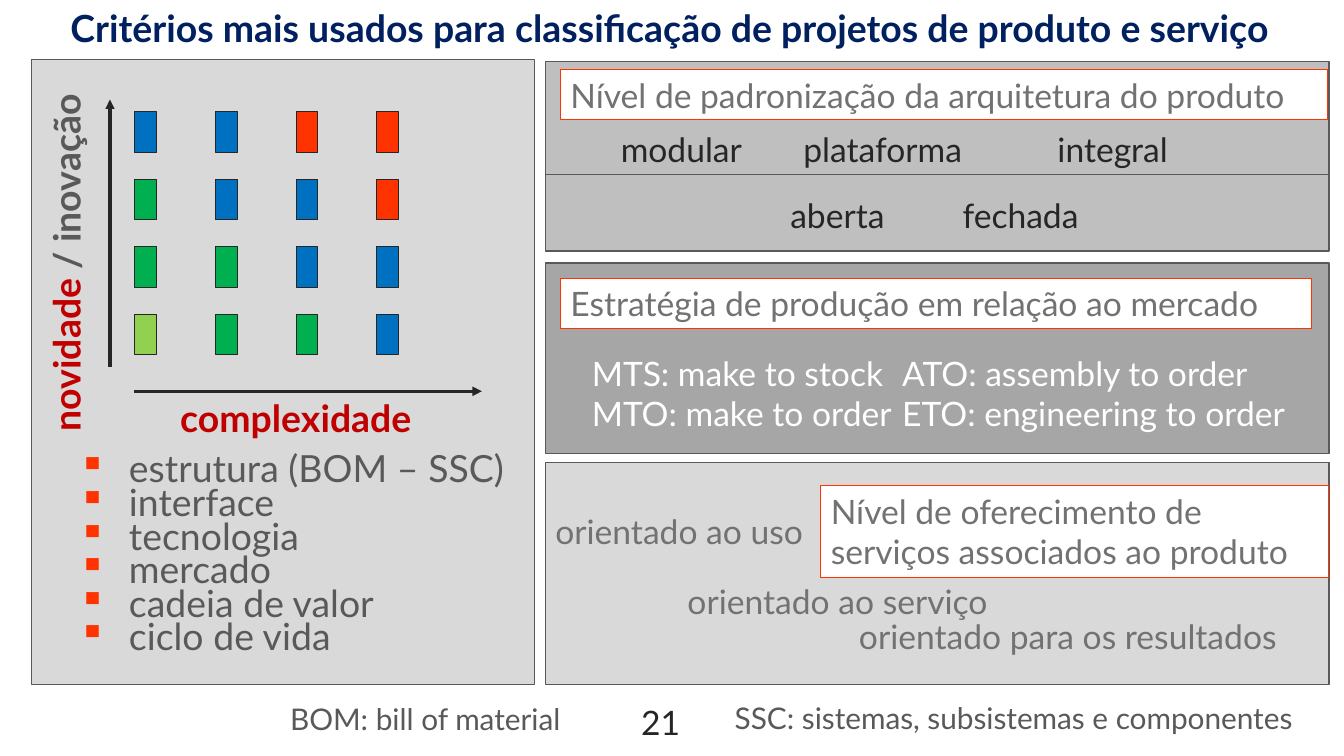
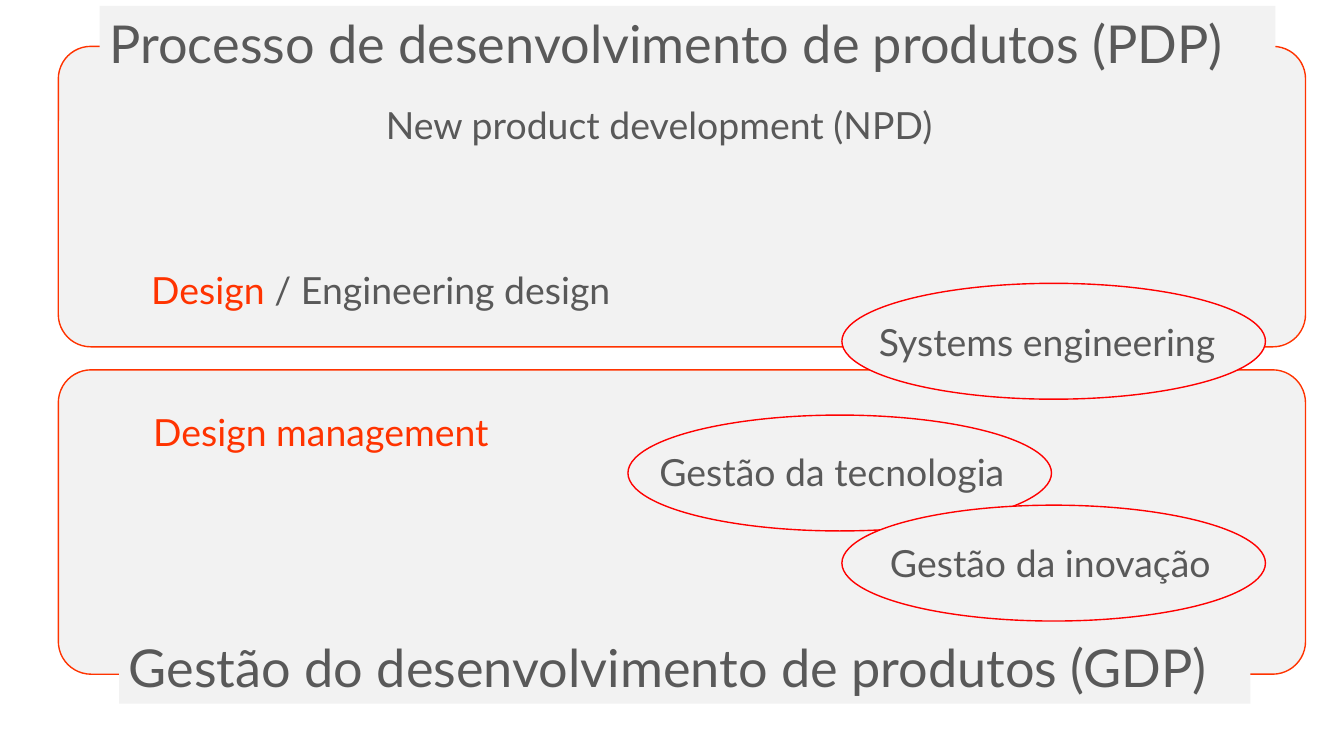
from pptx import Presentation
from pptx import util as u
from pptx.dml.color import RGBColor
from pptx.enum import shapes, text as t
from pptx.oxml import ns
from lxml import etree

COLORS = {
    "white": "FFFFFF", "navy": "002060", "ink": "262626", "text": "595959",
    "muted": "727272", "dark": "A6A6A6", "mid": "BFBFBF", "light": "D9D9D9",
    "pale": "F2F2F2", "orange": "FF3300", "red": "FF0000", "wine": "C00000",
    "blue": "0070C0", "green": "00B050", "lime": "92D050",
}
FONT = "Lato"
SMALL, BODY, LARGE, HEADING = 21.3, 24, 26.7, 37.3
RECT = shapes.MSO_SHAPE.RECTANGLE
ROUND = shapes.MSO_SHAPE.ROUNDED_RECTANGLE
OVAL = shapes.MSO_SHAPE.OVAL


def color(name):
    return RGBColor.from_string(COLORS[name])


def add_xml(parent, tag, **attributes):
    return etree.SubElement(parent, ns.qn(tag), attributes)


def fill_text(frame, paragraphs, size=BODY, ink="text", bold=False, align=t.PP_ALIGN.LEFT,
              spacing=None, bullet=None):
    for index, spans in enumerate(paragraphs):
        para = frame.paragraphs[0] if index == 0 else frame.add_paragraph()
        para.alignment = align
        if spacing:
            para.line_spacing = spacing
        if bullet:
            props = para._p.get_or_add_pPr()
            indent = u.Cm(1.27)
            props.set("marL", str(indent))
            props.set("indent", str(-indent))
            add_xml(add_xml(props, "a:buClr"), "a:srgbClr", val=COLORS["orange"])
            add_xml(props, "a:buChar", char=bullet)
        for words, span_ink in [(spans, ink)] if isinstance(spans, str) else spans:
            span = para.add_run()
            span.text = words
            span.font.name = FONT
            span.font.size = u.Pt(size)
            span.font.bold = bold
            span.font.color.rgb = color(span_ink)


class Painter:
    def __init__(self):
        self.deck = Presentation()
        self.deck.slide_width = u.Inches(13.33)
        self.deck.slide_height = u.Inches(7.5)
        self.page = None

    def new_page(self):
        self.page = self.deck.slides.add_slide(self.deck.slide_layouts[6])

    def box(self, place, fill, line=None, weight=1, kind=RECT, corner=None):
        box = self.page.shapes.add_shape(kind, *map(u.Cm, place))
        box.shadow.inherit = False
        box.fill.solid()
        box.fill.fore_color.rgb = color(fill)
        if line:
            box.line.color.rgb = color(line)
            box.line.width = u.Pt(weight)
        else:
            box.line.fill.background()
        if corner is not None:
            box.adjustments[0] = corner
        return box

    def label(self, place, *paragraphs, fill=None, line=None, anchor=t.MSO_ANCHOR.TOP,
              padding=0.13, rotation=0, **style):
        if fill:
            box = self.box(place, fill, line, 0.75)
        else:
            box = self.page.shapes.add_textbox(*map(u.Cm, place))
        box.rotation = rotation
        frame = box.text_frame
        frame.word_wrap = True
        frame.vertical_anchor = anchor
        frame.margin_top = frame.margin_bottom = u.Cm(padding)
        fill_text(frame, paragraphs, **style)

    def card_title(self, place, words):
        self.label(place, words, fill="white", line="orange", ink="muted")

    def heading(self, place, words):
        self.label(place, words, fill="pale", anchor=t.MSO_ANCHOR.MIDDLE, size=HEADING)

    def line(self, start, end, ink, weight, arrow=False):
        line = self.page.shapes.add_connector(
            shapes.MSO_CONNECTOR.STRAIGHT, *map(u.Cm, start + end))
        line.line.color.rgb = color(ink)
        line.line.width = u.Pt(weight)
        if arrow:
            add_xml(line.line._get_or_add_ln(), "a:tailEnd", type="triangle")
        add_xml(line._element.spPr, "a:effectLst")


def criteria_page(painter):
    painter.new_page()
    painter.label((0.15, -0.03, 33.48, 1.6),
                  "Critérios mais usados para classificação de projetos de produto e serviço",
                  fill="white", anchor=t.MSO_ANCHOR.MIDDLE, size=LARGE, ink="navy", bold=True,
                  align=t.PP_ALIGN.CENTER, spacing=0.9)
    for place, fill in [((13.74, 6.63, 19.74, 4.8), "dark"), ((13.74, 1.55, 19.74, 4.78), "mid"),
                        ((13.74, 11.66, 19.74, 5.59), "light"), ((0.79, 1.5, 12.67, 15.75), "light")]:
        painter.box(place, fill, "text")
    painter.label((15.9, 17.55, 1.65, 1.35), "21", ink="ink")

    levels = [
        ["blue", "blue", "orange", "orange"],
        ["green", "blue", "blue", "orange"],
        ["green", "green", "blue", "blue"],
        ["lime", "green", "green", "blue"],
    ]
    for row, fills in enumerate(levels):
        for column, fill in enumerate(fills):
            painter.box((3.4 + 2.03 * column, 2.82 + 1.7 * row, 0.55, 1.02), fill, "ink", 0.75)
    painter.line((2.77, 9.25), (2.77, 2.51), "ink", 2.25, arrow=True)
    painter.line((3.38, 9.86), (12.14, 9.86), "ink", 2.25, arrow=True)
    painter.label((-3.28, 5.61, 9.88, 1.14), [("novidade", "wine"), (" / inovação", "text")],
                  size=LARGE, bold=True, padding=0, rotation=270)
    painter.label((4.29, 9.96, 6.88, 1.14), "complexidade",
                  size=LARGE, ink="wine", bold=True, padding=0)
    painter.label((1.73, 11.38, 12.01, 5.38), "estrutura (BOM – SSC)", "interface", "tecnologia",
                  "mercado", "cadeia de valor", "ciclo de vida",
                  size=LARGE, spacing=u.Pt(24), bullet="▪")

    painter.card_title((14.12, 1.75, 19.33, 1.27), "Nível de padronização da arquitetura do produto")
    for left, top, width, words in [
        (15.39, 3.12, 3.61, "modular"), (19.99, 3.12, 4.55, "plataforma"),
        (26.39, 3.12, 3.33, "integral"), (19.66, 4.77, 2.95, "aberta"), (24, 4.77, 3.56, "fechada"),
    ]:
        painter.label((left, top, width, 1.27), words, ink="ink")
    painter.line((13.74, 4.39), (33.48, 4.39), "text", 0.5)

    painter.card_title((14.12, 7.01, 18.92, 1.27), "Estratégia de produção em relação ao mercado")
    painter.label((14.66, 8.76, 8.15, 2.31), "MTS: make to stock", "MTO: make to order", ink="white")
    painter.label((22.48, 8.76, 10.39, 2.31), "ATO: assembly to order", "ETO: engineering to order",
                  fill="dark", ink="white")

    painter.card_title((20.68, 12.24, 12.8, 2.31),
                       "Nível de oferecimento de serviços associados ao produto")
    for left, top, width, words in [
        (13.74, 12.75, 6.88, "orientado ao uso"), (17.07, 14.5, 8.23, "orientado ao serviço"),
        (21.39, 15.39, 11.35, "orientado para os resultados"),
    ]:
        painter.label((left, top, width, 1.27), words, ink="muted")

    painter.label((7.06, 17.53, 7.34, 1.17), "BOM: bill of material", size=SMALL)
    painter.label((18.26, 17.5, 15.52, 1.17), "SSC: sistemas, subsistemas e componentes", size=SMALL)


def process_page(painter):
    painter.new_page()
    for top, height in [(1.17, 7.57), (9.32, 7.67)]:
        painter.box((1.47, top, 31.42, height), "pale", "orange", kind=ROUND, corner=0.108)
    painter.heading((2.51, 0.15, 29.62, 1.85), "Processo de desenvolvimento de produtos (PDP)")
    painter.heading((3, 15.88, 28.5, 1.85), "Gestão do desenvolvimento de produtos (GDP)")
    painter.label((9.47, 2.44, 14.45, 1.4), "New product development (NPD)", size=LARGE)
    painter.label((3.56, 6.6, 12.4, 1.4), [("Design ", "orange"), ("/ Engineering design", "text")],
                  size=LARGE)
    painter.label((3.61, 10.19, 9.3, 1.4), "Design management", size=LARGE, ink="orange")
    for left, top, text_left, text_top, words in [
        (21.21, 7.14, 21.89, 7.92, "Systems engineering"),
        (15.82, 10.46, 16.36, 11.18, "Gestão da tecnologia"),
        (21.21, 12.73, 22.17, 13.49, "Gestão da inovação"),
    ]:
        painter.box((left, top, 10.67, 2.92), "pale", "red", kind=OVAL)
        painter.label((text_left, text_top, 9.5, 1.4), words, size=LARGE)


def main():
    painter = Painter()
    criteria_page(painter)
    process_page(painter)
    painter.deck.save("out.pptx")


if __name__ == "__main__":
    main()
